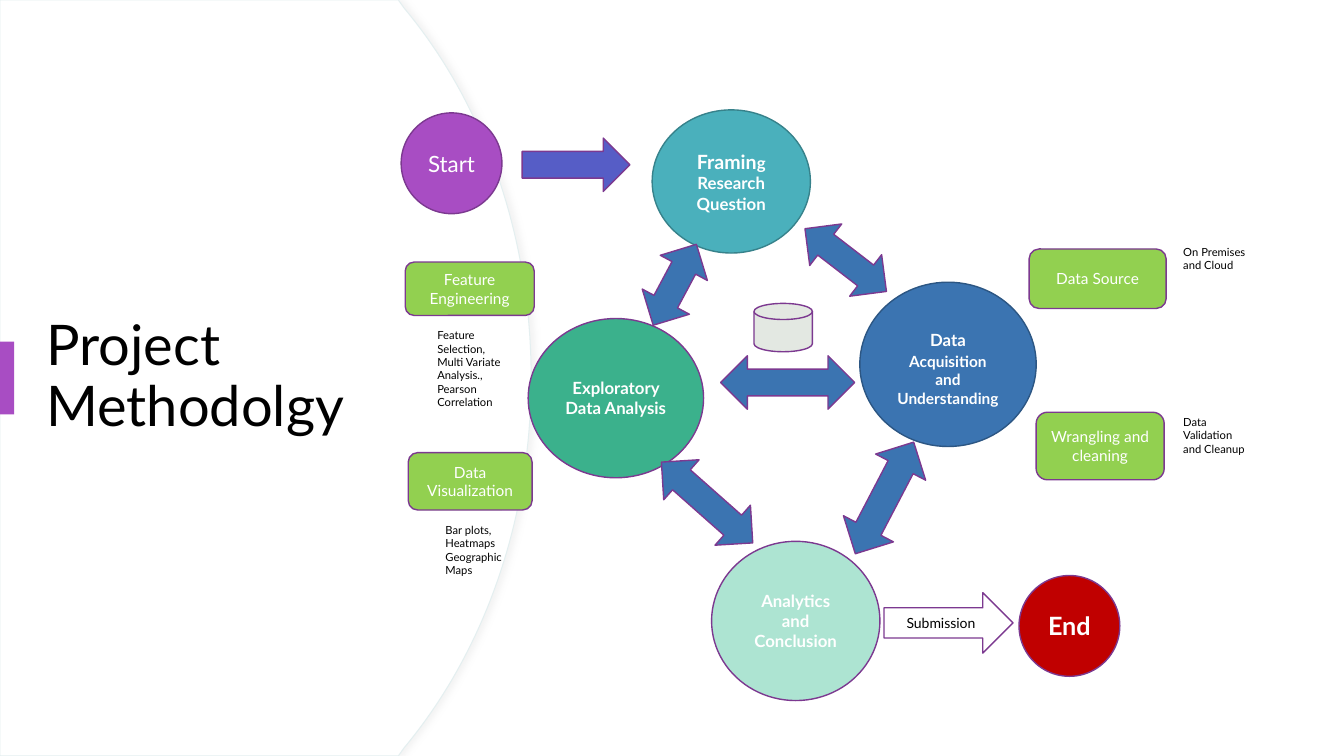
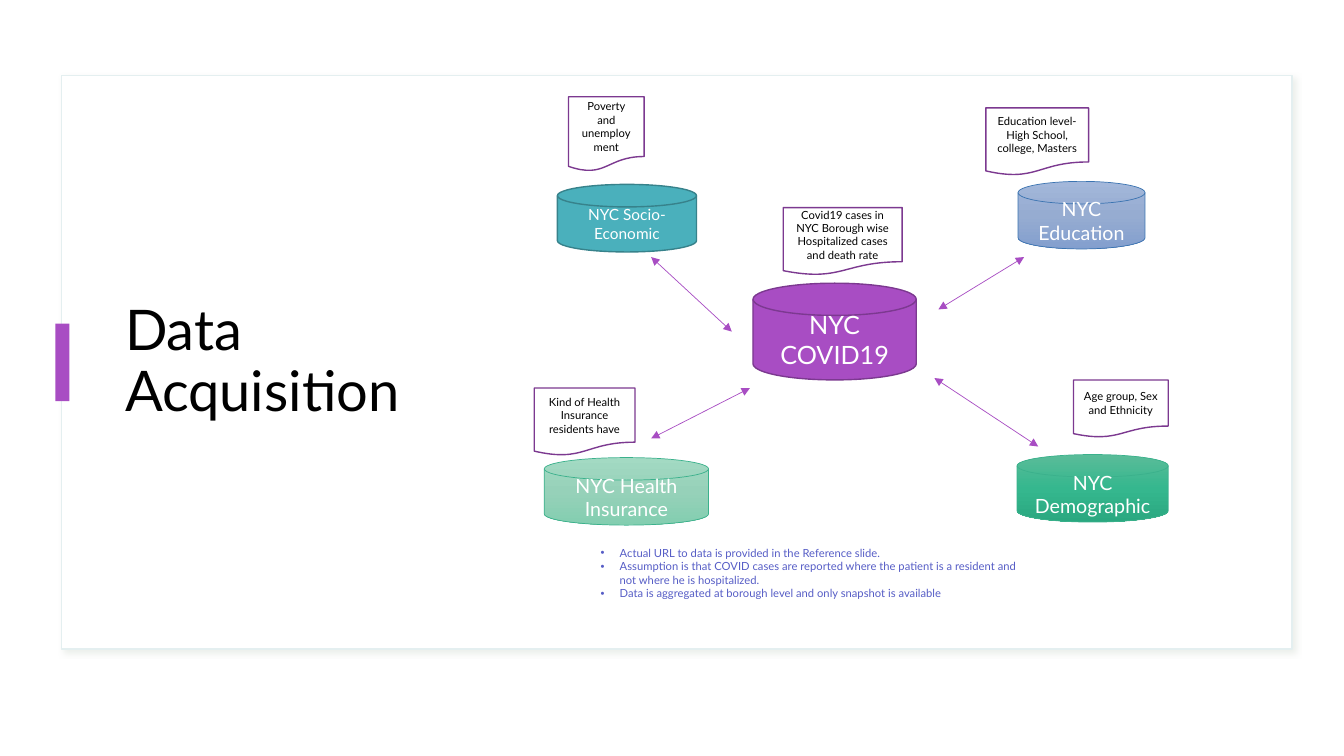
from dataclasses import dataclass
from copy import deepcopy

from pptx import Presentation
from pptx.dml.color import RGBColor
from pptx.enum.shapes import MSO_CONNECTOR, MSO_SHAPE as Kind
from pptx.enum.text import MSO_ANCHOR as Anchor, MSO_AUTO_SIZE as AutoSize, PP_ALIGN as Align
from pptx.oxml.ns import qn
from pptx.util import Inches, Pt
from lxml.etree import SubElement

COLUMNS, ROWS = 40, 22.5  # square cells, a third of an inch wide
CELL = Inches(1) / 3
TITLE_ONLY = 5


@dataclass(frozen=True)
class Theme:
    font: str = "Lato"
    white: str = "FFFFFF"
    black: str = "000000"
    purple: str = "A84DC3"
    plum: str = "7C3990"
    indigo: str = "565DC6"
    blue: str = "3B74B1"
    navy: str = "2C5683"
    teal: str = "4AB0BC"
    deep_teal: str = "37828B"
    green: str = "3BB18C"
    mint: str = "ADE4D2"
    lime: str = "92D050"
    red: str = "C00000"
    grey: str = "E3E8E2"
    hairline: str = "E4EFF0"
    arc_shadow: str = "D9D9D9"
    card_shadow: str = "BECABC"
    mint_fade: tuple = ("A3DAC3", "96D1B9", "83CEB0")
    blue_fade: tuple = ("A3B7DA", "96ACD1", "839FCE")
    green_fade: tuple = ("5ABC99", "35B78E", "2AA880")
    title: int = 40
    large: int = 18
    start: int = 16
    medium: int = 14
    body: int = 12
    tag: int = 11
    label: int = 10
    note: int = 8


THEME = Theme()


@dataclass(frozen=True)
class Box:
    """A region in grid columns and rows."""
    left: float
    top: float
    width: float
    height: float

    def inner(self, left, top, width, height):
        return Box(self.left + left, self.top + top, width, height)

    def point(self, column, row):
        return cells(self.left + column), cells(self.top + row)

    def frame(self):
        return tuple(map(cells, (self.left, self.top, self.width, self.height)))


def cells(count):
    return round(count * CELL)


def rgb(colour):
    return RGBColor.from_string(colour)


def write_text(shape, text, size, colour=THEME.white, bold=False, align=Align.CENTER,
               anchor=Anchor.MIDDLE, bullet=None, spacing=None):
    """Fill a shape; text is a string, or paragraphs made of (words, size) spans."""
    frame = shape.text_frame
    frame.word_wrap = True
    frame.vertical_anchor = anchor
    if isinstance(text, str):
        text = [[(line, size)] for line in text.split("\n")]
    for index, spans in enumerate(text):
        para = frame.add_paragraph() if index else frame.paragraphs[0]
        para.alignment = align
        if spacing:
            para.line_spacing = spacing
        if bullet:
            add_bullet(para, bullet)
        for words, points in spans:
            span = para.add_run()
            span.text = words
            font = span.font
            font.name, font.size, font.bold = THEME.font, Pt(points), bold
            font.color.rgb = rgb(colour)


def add_bullet(para, symbol):
    indent = Inches(0.19)
    props = para._p.get_or_add_pPr()
    props.set("marL", str(indent))
    props.set("indent", str(-indent))
    SubElement(props, qn("a:buFont"), typeface="Arial")
    SubElement(props, qn("a:buChar"), char=symbol)


def fill_fade(shape, colours):
    """Three colours, from top to bottom."""
    fill = shape.fill
    fill.gradient()
    fill.gradient_angle = 270
    stops = next(shape._element.iter(qn("a:gsLst")))
    stops.append(deepcopy(stops[-1]))
    for index, (stop, colour) in enumerate(zip(fill.gradient_stops, colours)):
        stop.position = index / 2
        stop.color.rgb = rgb(colour)


def cast_shadow(shape, colour, angle):
    effects = shape._element.spPr.find(qn("a:effectLst"))
    shadow = SubElement(effects, qn("a:outerShdw"), blurRad=str(Pt(4)), dist=str(Pt(3)),
                        dir=str(angle * 60000), algn="tl", rotWithShape="0")
    tint = SubElement(shadow, qn("a:srgbClr"), val=colour)
    SubElement(tint, qn("a:alpha"), val="30000")


def paint(shape, fill, line=None, width=1):
    shape.shadow.inherit = False
    if isinstance(fill, tuple):
        fill_fade(shape, fill)
    else:
        shape.fill.solid()
        shape.fill.fore_color.rgb = rgb(fill)
    if line:
        shape.line.color.rgb = rgb(line)
        shape.line.width = Pt(width)
    else:
        shape.line.fill.background()
    return shape


def add_figure(page, kind, box, fill, line=THEME.plum, width=1, turn=0, text=None, **style):
    shape = paint(page.shapes.add_shape(kind, *box.frame()), fill, line, width)
    shape.rotation = turn
    if text:
        write_text(shape, text, **style)
    return shape


def add_note(page, box, text, colour=THEME.black, **style):
    note = page.shapes.add_textbox(*box.frame())
    write_text(note, text, THEME.note, colour, align=Align.LEFT, anchor=Anchor.TOP, **style)
    note.text_frame.auto_size = AutoSize.SHAPE_TO_FIT_TEXT


def add_link(page, start, end):
    link = page.shapes.add_connector(MSO_CONNECTOR.STRAIGHT, *start, *end)
    link.line.color.rgb = rgb(THEME.purple)
    link.line.width = Pt(0.5)
    for tip in ("a:headEnd", "a:tailEnd"):
        SubElement(link.line._get_or_add_ln(), qn(tip), type="triangle")
    SubElement(link._element.spPr, qn("a:effectLst"))


def add_heading(page, box, text, marker):
    """Title, raised above the backdrop, with its accent bar."""
    title = page.shapes.title
    title.left, title.top, title.width, title.height = box.frame()
    write_text(title, text, THEME.title, THEME.black, align=Align.LEFT, spacing=0.9)
    title.text_frame.auto_size = AutoSize.NONE
    page.shapes._spTree.append(title._element)
    add_figure(page, Kind.RECTANGLE, marker, THEME.purple, line=None)


def add_arc_panel(page, box):
    """Panel whose right edge bulges outwards."""
    edge = (0.76, 0.91, 1, 1)
    drop = (0.01, 0.136, 0.31, 0.5)
    steps = 40

    def bezier(values, t):
        return sum(weight * value * (1 - t) ** (3 - power) * t ** power
                   for power, (weight, value) in enumerate(zip((1, 3, 3, 1), values)))

    upper = [(bezier(edge, i / steps), bezier(drop, i / steps)) for i in range(steps + 1)]
    lower = [(x, 1 - y) for x, y in reversed(upper[:-1])]
    outline = [(0.75, 0), *upper, *lower, (0.75, 1), (0, 1)]
    builder = page.shapes.build_freeform(*box.point(0, 0))
    builder.add_line_segments([box.point(x * box.width, y * box.height) for x, y in outline])
    panel = paint(builder.convert_to_shape(), THEME.white, THEME.hairline, 0.75)
    cast_shadow(panel, THEME.arc_shadow, 0)


def add_cycle(page, box):
    t = THEME
    framing = [[("Framin", t.medium), ("g Research", t.body)], [("Question", t.body)]]
    acquiring = [[("Data", t.body), (" ", t.large), ("Acquisition and Understanding", t.tag)]]
    stages = [
        ((0.94, 0.36, 3, 3), t.purple, t.plum, "Start", t.start, False),
        ((8.41, 0.27, 4.71, 4.26), t.teal, t.deep_teal, framing, t.body, True),
        ((14.59, 5.4, 5.25, 4.89), t.blue, t.navy, acquiring, t.body, True),
        ((4.72, 6.48, 5.22, 4.74), t.green, t.plum, "Exploratory Data Analysis", t.body, True),
        ((10.18, 13.11, 5.01, 4.74), t.mint, t.plum, "Analytics and Conclusion", t.body, True),
        ((19.33, 14.13, 3, 3), t.red, t.plum, "End", t.large, True),
    ]
    for place, fill, line, text, size, bold in stages:
        add_figure(page, Kind.OVAL, box.inner(*place), fill, line, text=text, size=size, bold=bold)

    two_way = [
        ((12.64, 3.96, 3.06, 1.56), 37.6),
        ((13.45, 10.98, 3.75, 1.68), 117.6),
        ((10.45, 7.59, 3.99, 1.59), 0),
        ((8.23, 11.16, 3.63, 1.59), 221.5),
        ((7.72, 4.68, 2.73, 1.59), 298.1),
    ]
    for place, turn in two_way:
        add_figure(page, Kind.LEFT_RIGHT_ARROW, box.inner(*place), t.blue, turn=turn)
    add_figure(page, Kind.RIGHT_ARROW, box.inner(4.54, 1.11, 3.21, 1.59), t.indigo)
    add_figure(page, Kind.RIGHT_ARROW, box.inner(15.31, 14.64, 3.84, 1.8), t.white,
               text="Submission", size=t.label, colour=t.black)
    add_figure(page, Kind.FLOWCHART_MAGNETIC_DISK, box.inner(11.44, 6.03, 1.74, 1.44), t.grey)


def add_tags(page, box):
    """Activity tags, each with its note."""
    tags = [
        ((19.63, 4.41, 4.08, 1.77), "Data Source",
         (23.92, 4.14, 2.46, 1.5), "On Premises and Cloud"),
        ((19.84, 9.27, 3.81, 2.01), "Wrangling and cleaning",
         (23.92, 9.21, 2.46, 1.92), "Data Validation and Cleanup"),
        ((1.06, 4.8, 3.84, 1.59), "Feature Engineering", (1.72, 6.63, 2.52, 2.73),
         "Feature Selection, Multi Variate Analysis., Pearson Correlation"),
        ((1.15, 10.47, 3.69, 1.71), "Data Visualization",
         (1.96, 12.42, 2.67, 1.92), "Bar plots, Heatmaps\nGeographic Maps"),
    ]
    for place, text, note_place, note in tags:
        add_figure(page, Kind.ROUNDED_RECTANGLE, box.inner(*place), THEME.lime,
                   text=text, size=THEME.tag)
        add_note(page, box.inner(*note_place), note)


def add_sources(page, box):
    """Data stores, their captions and the links to the central store."""
    t = THEME
    stores = [
        ((7.41, 6.43, 4.86, 2.88), t.purple, t.plum, 1, "NYC COVID19", t.large,
         (8.31, 4.18, 3.54, 2.01),
         "Covid19 cases in NYC Borough wise\nHospitalized cases and death rate"),
        ((1.2, 11.62, 4.89, 2.01), t.mint_fade, t.green, 0.5, "NYC Health Insurance", t.medium,
         (0.9, 9.55, 3, 2.01), "Kind of Health Insurance residents have"),
        ((1.59, 3.49, 4.14, 2.01), t.teal, t.deep_teal, 1, "NYC Socio-Economic", t.tag,
         (1.92, 0.88, 2.25, 2.22), "Poverty and unemployment"),
        ((15.3, 3.4, 3.78, 2.01), t.blue_fade, t.blue, 0.5, "NYC Education", t.medium,
         (14.34, 1.21, 3.06, 2.01), "Education level- High School, college, Masters"),
        ((15.27, 11.53, 4.5, 2.01), t.green_fade, t.green, 0.5, "NYC Demographic", t.medium,
         (16.95, 9.31, 2.82, 1.71), "Age group, Sex and Ethnicity"),
    ]
    for place, fill, line, width, text, size, caption_place, caption in stores:
        add_figure(page, Kind.FLOWCHART_MAGNETIC_DISK, box.inner(*place), fill, line, width,
                   text=text, size=size)
        add_figure(page, Kind.FLOWCHART_DOCUMENT, box.inner(*caption_place), t.white,
                   text=caption, size=t.note, colour=t.black)

    links = [
        ((4.38, 5.65), (6.78, 7.87)),
        ((4.38, 11.05), (7.32, 9.55)),
        ((12.93, 7.21), (15.48, 5.65)),
        ((12.81, 9.25), (15.9, 11.29)),
    ]
    for start, end in links:
        add_link(page, box.point(*start), box.point(*end))


def build_methodology(page):
    add_arc_panel(page, Box(0, 0, 15.81, ROWS))
    add_heading(page, Box(1.08, 3.06, 10.05, 16.38), "Project Methodolgy",
                marker=Box(0, 10.17, 0.42, 2.16))
    diagram = Box(11, 3, 27, 18)
    add_cycle(page, diagram)
    add_tags(page, diagram)


def build_acquisition(page):
    card = add_figure(page, Kind.RECTANGLE, Box(1.83, 2.25, 36.63, 17.07),
                      THEME.white, THEME.hairline)
    cast_shadow(card, THEME.card_shadow, 45)
    add_heading(page, Box(3.42, 3.6, 9.36, 14.4), "Data Acquisition",
                marker=Box(1.65, 9.63, 0.42, 2.31))
    diagram = Box(15, 2, 21, 17)
    add_sources(page, diagram)
    remarks = ("Actual URL to data is provided in the Reference slide.\n"
               "Assumption is that COVID cases are reported where the patient is a resident "
               "and not where he is hospitalized.\n"
               "Data is aggregated at borough level and only snapshot is available")
    add_note(page, diagram.inner(2.58, 14.11, 13.32, 1.92), remarks, THEME.indigo, bullet="•")


def main():
    deck = Presentation()
    deck.slide_width, deck.slide_height = cells(COLUMNS), cells(ROWS)
    for build in (build_methodology, build_acquisition):
        build(deck.slides.add_slide(deck.slide_layouts[TITLE_ONLY]))
    deck.save("out.pptx")


if __name__ == "__main__":
    main()
